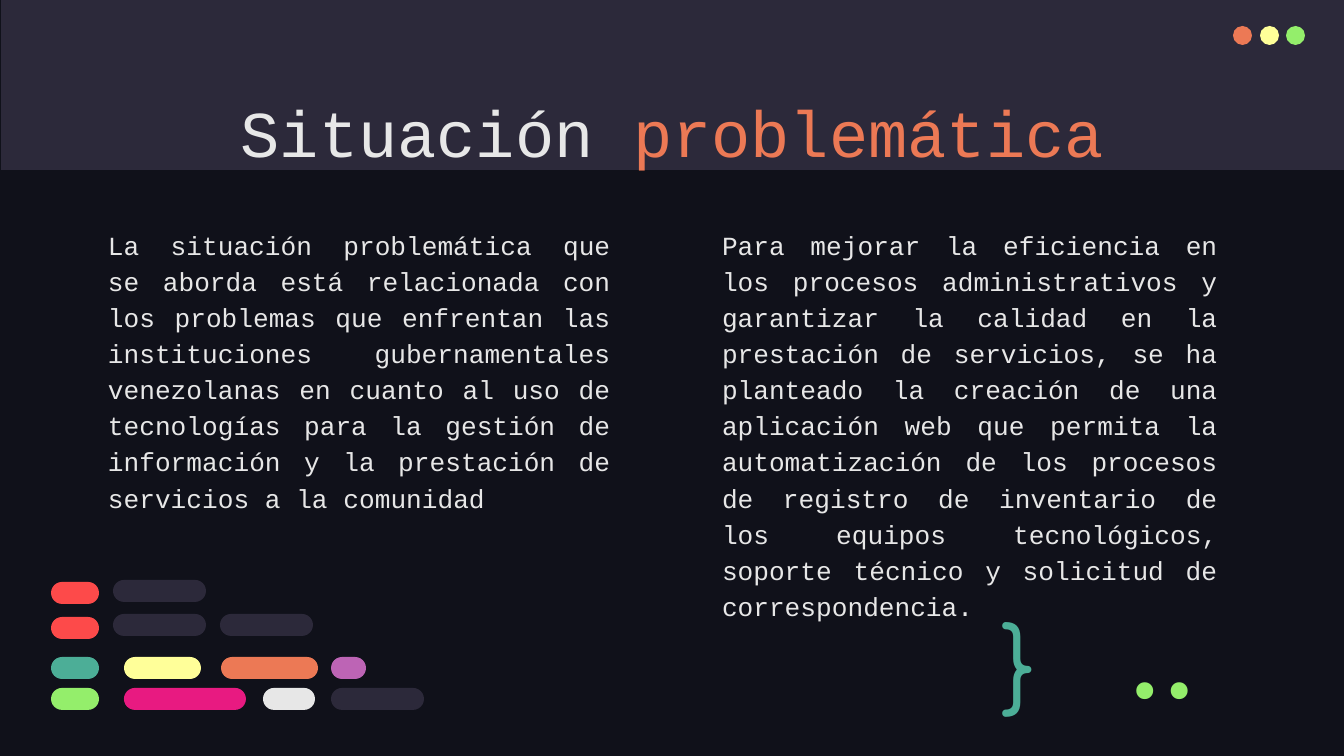
from pptx import Presentation
from pptx.dml.color import RGBColor
from pptx.enum.shapes import MSO_SHAPE
from pptx.enum.text import MSO_ANCHOR, PP_ALIGN
from pptx.util import Emu, Pt

EMU_PER_PX = 914400 / 134.4
RECTANGLE, OVAL, PILL = MSO_SHAPE.RECTANGLE, MSO_SHAPE.OVAL, MSO_SHAPE.ROUNDED_RECTANGLE
LEFT, CENTER, RIGHT, JUSTIFY = PP_ALIGN.LEFT, PP_ALIGN.CENTER, PP_ALIGN.RIGHT, PP_ALIGN.JUSTIFY
TOP, MIDDLE = MSO_ANCHOR.TOP, MSO_ANCHOR.MIDDLE

NIGHT, SLATE, WHITE = "10111A", "2C293A", "E7E7E7"
ORANGE, YELLOW, GREEN = "EC7955", "FFFF99", "94EE6B"
RED, TEAL, PURPLE, PINK = "FD4A4A", "4CAE97", "BD64B5", "E81A81"


def px(length):
    return Emu(round(length * EMU_PER_PX))


def color(hex_string):
    return RGBColor.from_string(hex_string)


def write(frame, runs, size=14, font="Courier New", align=LEFT, spacing=None):
    paragraph = frame.paragraphs[0]
    paragraph.alignment = align
    if spacing:
        paragraph.line_spacing = spacing
    for text, hex_string in runs:
        run = paragraph.add_run()
        run.text = text
        run.font.size = Pt(size)
        run.font.name = font
        run.font.color.rgb = color(hex_string)


class SlideBuilder:
    inset = 13

    def __init__(self, presentation, background):
        self.slide = presentation.slides.add_slide(presentation.slide_layouts[6])
        self.slide.background.fill.solid()
        self.slide.background.fill.fore_color.rgb = color(background)

    def block(self, kind, left, top, width, height, fill):
        shape = self.slide.shapes.add_shape(kind, px(left), px(top), px(width), px(height))
        shape.shadow.inherit = False
        shape.fill.solid()
        shape.fill.fore_color.rgb = color(fill)
        shape.line.fill.background()
        if kind == PILL:
            shape.adjustments[0] = 0.5

    def text(self, left, top, width, height, runs, anchor=TOP, top_inset=inset, **style):
        box = self.slide.shapes.add_textbox(px(left), px(top), px(width), px(height))
        frame = box.text_frame
        frame.word_wrap = True
        frame.vertical_anchor = anchor
        frame.margin_left = frame.margin_right = frame.margin_bottom = px(self.inset)
        frame.margin_top = px(top_inset)
        write(frame, runs, **style)


def main():
    presentation = Presentation()
    presentation.slide_width, presentation.slide_height = px(1344), px(756)
    builder = SlideBuilder(presentation, NIGHT)

    # Header band with window buttons
    builder.block(RECTANGLE, 1, 0, 1343, 170, SLATE)
    for left, fill in ((1233, ORANGE), (1260, YELLOW), (1286, GREEN)):
        builder.block(OVAL, left, 26, 19, 19, fill)

    # Title
    builder.text(106, 66, 1133, 84, [("Situación ", WHITE), ("problemática", ORANGE)],
                 top_inset=26, size=35, align=CENTER)

    # Two columns of text
    columns = (
        (95, 529, "La situación problemática que se aborda está relacionada con los problemas "
                  "que enfrentan las instituciones gubernamentales venezolanas en cuanto al uso "
                  "de tecnologías para la gestión de información y la prestación de servicios "
                  "a la comunidad"),
        (709, 522, "Para mejorar la eficiencia en los procesos administrativos y garantizar la "
                   "calidad en la prestación de servicios, se ha planteado la creación de una "
                   "aplicación web que permita la automatización de los procesos de registro de "
                   "inventario de los equipos tecnológicos, soporte técnico y solicitud de "
                   "correspondencia."),
    )
    for left, width, text in columns:
        builder.text(left, 212, width, 358, [(text, WHITE)], align=JUSTIFY, spacing=1.15)

    # Code lines made of pills: top, then (left, width, fill) for each
    code_lines = (
        (580, [(113, 93, SLATE)]),
        (582, [(51, 48, RED)]),
        (614, [(113, 93, SLATE), (220, 93, SLATE)]),
        (617, [(51, 48, RED)]),
        (657, [(51, 48, TEAL), (124, 77, YELLOW), (221, 97, ORANGE), (331, 35, PURPLE)]),
        (688, [(51, 48, GREEN), (124, 122, PINK), (263, 52, WHITE), (331, 93, SLATE)]),
    )
    for top, pills in code_lines:
        for left, width, fill in pills:
            builder.block(PILL, left, top, width, 22, fill)

    # Closing code symbols
    builder.text(988, 589, 77, 112, [("}", TEAL)], size=50, font="Comfortaa")
    builder.text(1089, 621, 144, 81, [("..", GREEN)], anchor=MIDDLE, size=50,
                 font="Fira Code", align=RIGHT)

    presentation.save("out.pptx")


if __name__ == "__main__":
    main()
